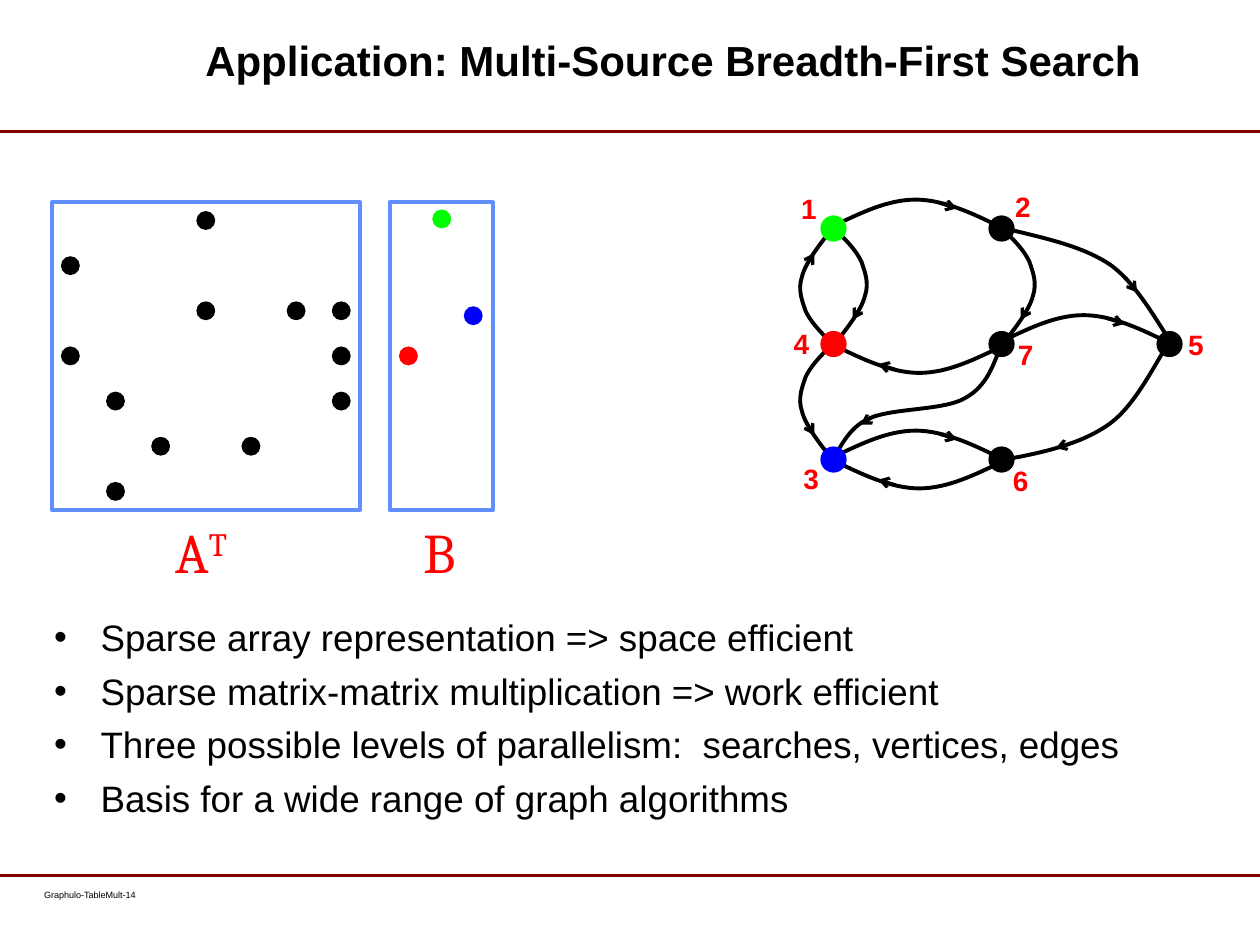
from dataclasses import dataclass

from lxml.etree import SubElement
from pptx import Presentation
from pptx.dml.color import RGBColor
from pptx.enum.shapes import MSO_CONNECTOR, MSO_SHAPE
from pptx.enum.text import MSO_ANCHOR, PP_ALIGN
from pptx.oxml.ns import qn
from pptx.util import Pt


@dataclass(frozen=True)
class Theme:
    black: str = "000000"
    red: str = "FF0000"
    green: str = "00FF00"
    blue: str = "0000FF"
    frame: str = "618FFD"
    rule: str = "800000"
    sans: str = "Arial"
    serif: str = "Cambria"
    title: float = 24
    body: float = 21
    matrix: float = 32
    vertex: float = 16
    footer: float = 5.2


T = Theme()
prs = Presentation()
prs.slide_width, prs.slide_height = Pt(720), Pt(540)
s = prs.slides.add_slide(prs.slide_layouts[6])


def add_text(box, lines, size, color=T.black, font=T.sans, bold=False,
             insets=(7.2, 3.6, 7.2, 3.6), **frame):
    """Add a text box with one paragraph per line and return its text frame."""
    tf = s.shapes.add_textbox(*map(Pt, box)).text_frame
    sides = ("margin_left", "margin_top", "margin_right", "margin_bottom")
    settings = dict(zip(sides, map(Pt, insets)), word_wrap=True) | frame
    for name, value in settings.items():
        setattr(tf, name, value)
    for i, line in enumerate(lines):
        p = tf.paragraphs[0] if i == 0 else tf.add_paragraph()
        r = p.add_run()
        r.text = line
        for name, value in dict(size=Pt(size), name=font, bold=bold).items():
            setattr(r.font, name, value)
        r.font.color.rgb = RGBColor.from_string(color)
    return tf


def add_shape(kind, box, fill=None, line=None):
    sp = s.shapes.add_shape(kind, *map(Pt, box))
    sp.shadow.inherit = False
    if fill:
        sp.fill.solid()
        sp.fill.fore_color.rgb = RGBColor.from_string(fill)
    else:
        sp.fill.background()
    if line:
        sp.line.color.rgb = RGBColor.from_string(line)
        sp.line.width = Pt(2.25)
    else:
        sp.line.fill.background()


# Title, bullets and footer
tf = add_text((29.5, -0.7, 666, 77.8), ["Application: Multi-Source Breadth-First Search"],
              T.title, bold=True, insets=(4.3, 4.3, 13, 4.3),
              vertical_anchor=MSO_ANCHOR.MIDDLE)
p = tf.paragraphs[0]
p.alignment, p.line_spacing = PP_ALIGN.CENTER, Pt(21)
p._p.get_or_add_pPr().set("marL", str(Pt(53)))

bullets = [
    "Sparse array representation => space efficient",
    "Sparse matrix-matrix multiplication => work efficient",
    "Three possible levels of parallelism:  searches, vertices, edges",
    "Basis for a wide range of graph algorithms",
]
tf = add_text((23.8, 347.8, 631.4, 133.9), bullets, T.body)
for i, p in enumerate(tf.paragraphs):
    p.space_before = Pt(5.4 if i else 1.5)
    pPr = p._p.get_or_add_pPr()
    pPr.set("marL", str(Pt(26.6)))
    pPr.set("indent", str(-Pt(26.6)))
    SubElement(pPr, qn("a:buFont"), typeface=T.sans)
    SubElement(pPr, qn("a:buChar"), char="•")

add_text((25.2, 508.3, 85.7, 17.3), ["Graphulo-TableMult-14"], T.footer, insets=(0, 0, 0, 0))

# Graph: vertex -> (column, row, colour, label left, label top)
vertices = {
    1: (0, 0, T.green, 450.7, 105.8),
    2: (1, 0, T.black, 573, 105),
    3: (0, 2, T.blue, 452, 260),
    4: (0, 1, T.red, 446.4, 183),
    5: (2, 1, T.black, 671.8, 183.6),
    6: (1, 2, T.black, 571.7, 261.4),
    7: (1, 1, T.black, 574.6, 189.4),
}
centers = {v: (476.3 + 96 * col, 130.6 + 66 * row)
           for v, (col, row, *_) in vertices.items()}

# Bezier points and arrow ends, as offsets from the source vertex
side_bow = ([(1.5, 1), (7.5, 7), (13, 12.5), (16, 19), (18, 25), (20.5, 31),
             (18, 38.5), (16, 46.5), (8.5, 56), (1.5, 65)], [(16.5, 43), (11, 52)])
flat_bow = ([(0, -1.5), (15, -8.5), (30.5, -16.5), (47, -16.5), (63, -16.5),
             (80, -8.5), (97, 0)], [(60.5, -14.5), (70.5, -11.5)])
outer_down = ([(2, 0), (24.5, 5.5), (46.5, 10), (62.5, 21), (78.5, 32.5),
               (92, 59), (98, 66.5)], [(71, 28), (77.5, 36.5)])
outer_back = ([(-1, 0.5), (-7, 8.5), (-19.5, 36), (-35.5, 46.5), (-51.5, 57.5),
               (-73.5, 62.5), (-97, 66.5)], [(-54.5, 56), (-65, 59.5)])
swoop = ([(0, 0), (-4.5, 11.5), (-8, 24), (-21, 31), (-33, 38), (-62.5, 36.5),
          (-75.5, 42.5), (-88.5, 48), (-93, 62), (-96.5, 65.5)],
         [(-71.5, 40.5), (-80.5, 46)])

# (source, target, curve, x direction, y direction)
edges = [
    (1, 4, side_bow, 1, 1), (2, 7, side_bow, 1, 1),
    (4, 3, side_bow, -1, 1), (4, 1, side_bow, -1, -1),
    (1, 2, flat_bow, 1, 1), (7, 5, flat_bow, 1, 1), (3, 6, flat_bow, 1, 1),
    (7, 4, flat_bow, -1, -1), (6, 3, flat_bow, -1, -1),
    (2, 5, outer_down, 1, 1), (5, 6, outer_back, 1, 1), (7, 3, swoop, 1, 1),
]

# (start, end, colour, arrowhead)
lines = [((0, y), (720, y), T.rule, False) for y in (74.9, 500.4)]
for source, _, (curve, arrow), dx, dy in edges:
    x0, y0 = centers[source]
    curve, arrow = ([(x0 + dx * x, y0 + dy * y) for x, y in pts] for pts in (curve, arrow))
    lines.append((*arrow, T.black, True))
    start, *rest = [(Pt(x), Pt(y)) for x, y in curve]
    builder = s.shapes.build_freeform(*start)
    builder.add_line_segments(rest, close=False)
    sp = builder.convert_to_shape()
    sp.shadow.inherit = False
    sp.fill.background()
    sp.line.color.rgb = RGBColor.from_string(T.black)
    sp.line.width = Pt(2.25)
    # Each three straight segments become one cubic Bezier segment
    outline = sp._element.find(".//" + qn("a:path"))
    segments = outline.findall(qn("a:lnTo"))
    for i in range(0, len(segments), 3):
        bezier = SubElement(outline, qn("a:cubicBezTo"))
        for segment in segments[i:i + 3]:
            bezier.append(segment[0])
            outline.remove(segment)

for start, end, color, has_head in lines:
    c = s.shapes.add_connector(MSO_CONNECTOR.STRAIGHT, *map(Pt, start + end))
    c.line.color.rgb = RGBColor.from_string(color)
    c.line.width = Pt(1.75)
    if has_head:
        SubElement(c.line._get_or_add_ln(), qn("a:tailEnd"), type="arrow")
    SubElement(c._element.spPr, qn("a:effectLst"))

for v, (_, _, color, left, top) in vertices.items():
    x, y = centers[v]
    add_shape(MSO_SHAPE.OVAL, (x - 7.5, y - 7.5, 15, 15), fill=color)
    add_text((left, top, 24, 26.6), [str(v)], T.vertex, T.red, bold=True, word_wrap=False)

# Matrices: the transposed adjacency matrix has a dot at (target, source) of each edge
for left, width in ((29.7, 176), (222.7, 59)):
    add_shape(MSO_SHAPE.RECTANGLE, (left, 115.6, width, 176), line=T.frame)
pitch = 25.8
dots = [(34.8 + pitch * (source - 1), 120.6 + pitch * (target - 1), T.black)
        for source, target, *_ in edges]
dots += [(247, 119.7, T.green), (265, 175, T.blue), (228, 198, T.red)]
for x, y, color in dots:
    add_shape(MSO_SHAPE.OVAL, (x, y, 10.8, 10.8), fill=color)

tf = add_text((85.7, 292.3, 51, 46), ["A"], T.matrix, T.red, T.serif, word_wrap=False)
p = tf.paragraphs[0]
p.alignment = PP_ALIGN.RIGHT
r = p.add_run()
r.text = "T"
r.font.size, r.font.name = Pt(T.matrix), T.serif
r.font.color.rgb = RGBColor.from_string(T.red)
r._r.get_or_add_rPr().set("baseline", "30000")
add_text((234.7, 292.3, 36, 46), ["B"], T.matrix, T.red, T.serif, word_wrap=False)

prs.save("out.pptx")
